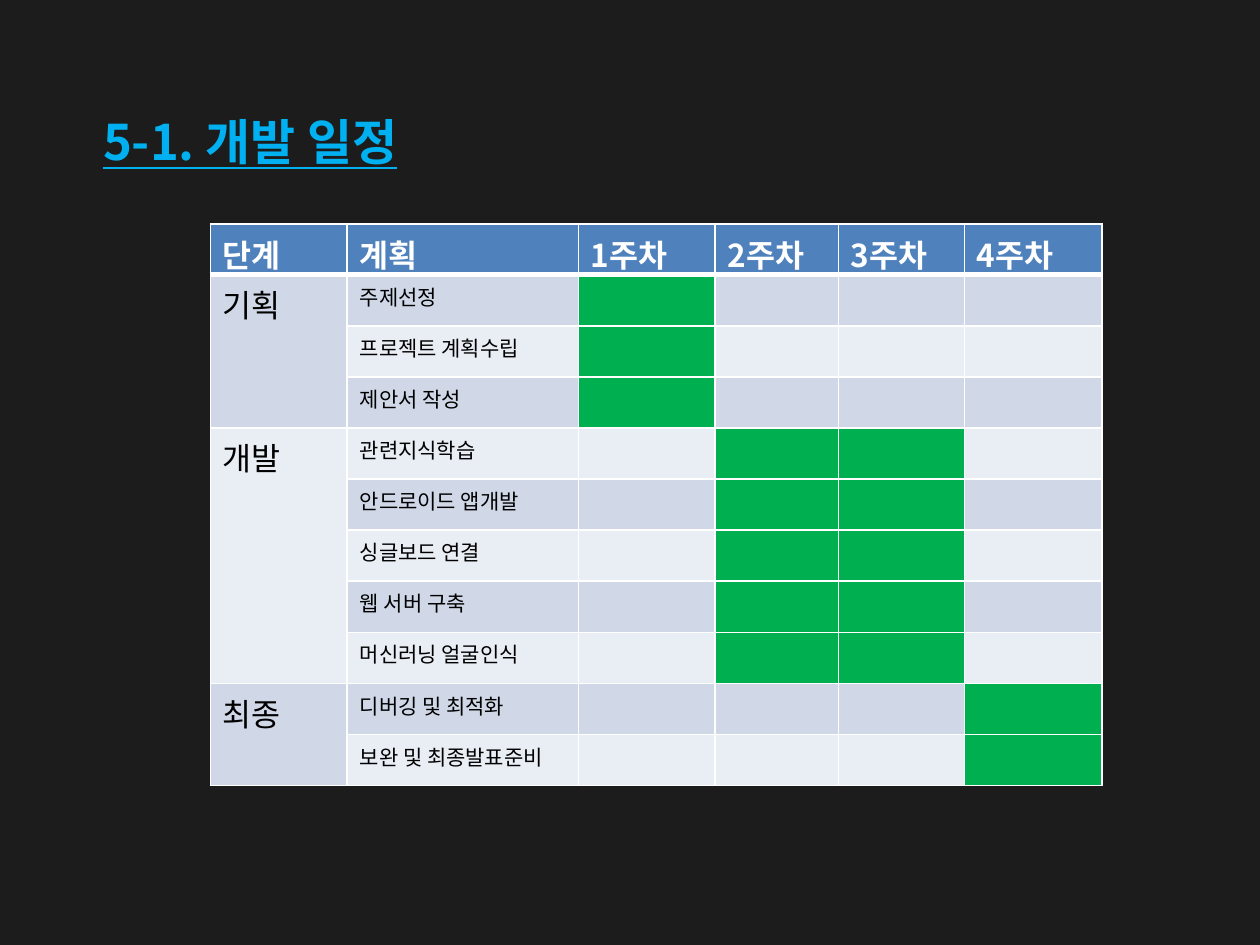
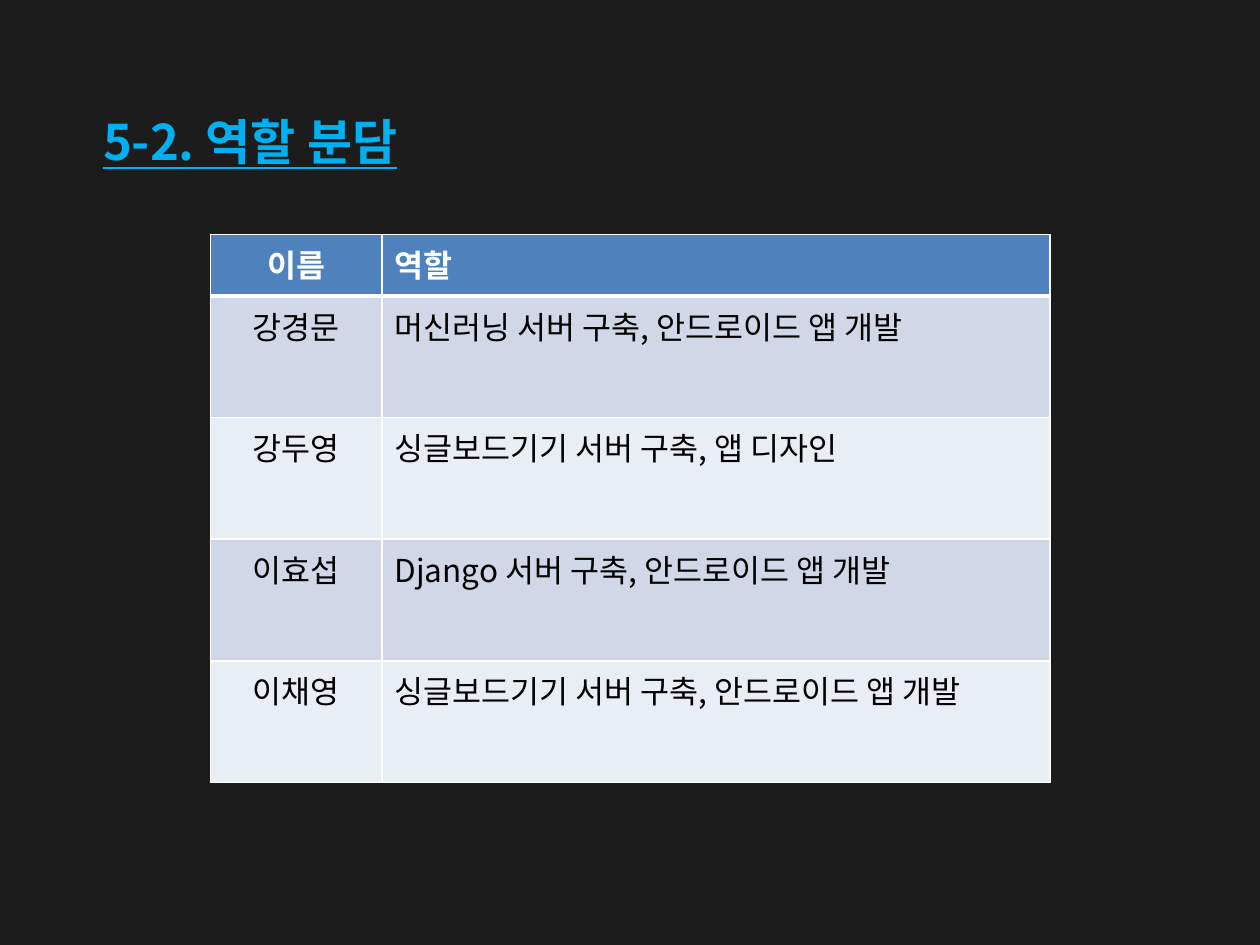
from dataclasses import dataclass

from lxml import etree
from pptx import Presentation
from pptx import util as u
from pptx.dml.color import RGBColor
from pptx.enum import text
from pptx.oxml import ns

FONT = "Noto Sans CJK KR"
BACKGROUND, TITLE_BLUE, HEADER_BLUE = "1C1C1C", "00B0F0", "4F81BD"
BANDS = ("D0D8E8", "E9EDF4")
ACTIVE, WHITE, BLACK = "00B050", "FFFFFF", "000000"


@dataclass
class Column:
    heading: str
    width: float
    size: int = 18
    centered: bool = False


@dataclass
class Stage:
    name: str
    tasks: list[str]
    weeks: list[int]


@dataclass
class Grid:
    top: float
    header_height: float
    row_height: float
    columns: list[Column]
    rows: list[list[str]]


STAGES = [
    Stage("기획", ["주제선정", "프로젝트 계획수립", "제안서 작성"], [1]),
    Stage("개발", ["관련지식학습", "안드로이드 앱개발", "싱글보드 연결",
                 "웹 서버 구축", "머신러닝 얼굴인식"], [2, 3]),
    Stage("최종", ["디버깅 및 최적화", "보완 및 최종발표준비"], [4]),
]
WEEK_WIDTHS = (2.76, 2.48, 2.54, 2.78)
SCHEDULE = Grid(
    4.52, 0.99, 1.03,
    [Column("단계", 2.76), Column("계획", 4.66, 12)]
    + [Column(f"{week}주차", width) for week, width in enumerate(WEEK_WIDTHS, 1)],
    [[stage.name if i == 0 else "", task] + [""] * len(WEEK_WIDTHS)
     for stage in STAGES for i, task in enumerate(stage.tasks)],
)
ROLES = Grid(
    4.73, 1.24, 2.45,
    [Column("이름", 3.46, centered=True), Column("역할", 13.47)],
    [["강경문", "머신러닝 서버 구축, 안드로이드 앱 개발"],
     ["강두영", "싱글보드기기 서버 구축, 앱 디자인"],
     ["이효섭", "Django 서버 구축, 안드로이드 앱 개발"],
     ["이채영", "싱글보드기기 서버 구축, 안드로이드 앱 개발"]],
)


def paint(fill, color: str) -> None:
    fill.solid()
    fill.fore_color.rgb = RGBColor.from_string(color)


def style_text(paragraph, size: int, color: str, bold: bool, underline: bool = False) -> None:
    for run in paragraph.runs:
        font = run.font
        font.name, font.size = FONT, u.Pt(size)
        font.bold, font.underline = bold, underline
        paint(font.fill, color)
        east_asian = etree.SubElement(run._r.get_or_add_rPr(), ns.qn("a:ea"))
        east_asian.set("typeface", FONT)
        font._element.find(ns.qn("a:latin")).addnext(east_asian)


def add_borders(cell, widths: dict[str, int]) -> None:
    """Draw white cell edges; widths maps L, R, T, B (in that order) to points."""
    properties = cell._tc.get_or_add_tcPr()
    for side, width in widths.items():
        line = etree.SubElement(properties, ns.qn(f"a:ln{side}"), w=str(u.Pt(width)))
        fill = etree.SubElement(line, ns.qn("a:solidFill"))
        etree.SubElement(fill, ns.qn("a:srgbClr"), val=WHITE)


def add_titled_slide(deck, title: str):
    slide = deck.slides.add_slide(deck.slide_layouts[6])
    paint(slide.background.fill, BACKGROUND)
    frame = slide.shapes.add_textbox(u.Cm(1.83), u.Cm(2.13), u.Cm(14.27), u.Cm(1.45)).text_frame
    frame.word_wrap = True
    frame.auto_size = text.MSO_AUTO_SIZE.SHAPE_TO_FIT_TEXT
    frame.text = title
    style_text(frame.paragraphs[0], 28, TITLE_BLUE, bold=True, underline=True)
    return slide


def add_grid(slide, grid: Grid):
    width = sum(column.width for column in grid.columns)
    height = grid.header_height + grid.row_height * len(grid.rows)
    table = slide.shapes.add_table(len(grid.rows) + 1, len(grid.columns), u.Cm(4.24),
                                   u.Cm(grid.top), u.Cm(width), u.Cm(height)).table
    table.first_row = table.horz_banding = False
    headings = [column.heading for column in grid.columns]
    for r, values in enumerate([headings] + grid.rows):
        is_header = r == 0
        table.rows[r].height = u.Cm(grid.header_height if is_header else grid.row_height)
        for c, (column, value) in enumerate(zip(grid.columns, values)):
            table.columns[c].width = u.Cm(column.width)
            cell = table.cell(r, c)
            add_borders(cell, {"L": 1, "R": 1, "T": 1, "B": 3} if is_header
                        else {"L": 1, "R": 1, "B": 1})
            paint(cell.fill, HEADER_BLUE if is_header else BANDS[(r - 1) % 2])
            cell.text = value
            paragraph = cell.text_frame.paragraphs[0]
            if column.centered:
                paragraph.alignment = text.PP_ALIGN.CENTER
            style_text(paragraph, 18 if is_header else column.size,
                       WHITE if is_header else BLACK, bold=is_header)
    return table


def mark_stages(table) -> None:
    """Merge each stage's name cells and colour the weeks it runs in."""
    first = 1
    for stage in STAGES:
        last = first + len(stage.tasks) - 1
        table.cell(first, 0).merge(table.cell(last, 0))
        for row in range(first, last + 1):
            for week in stage.weeks:
                paint(table.cell(row, week + 1).fill, ACTIVE)
        first = last + 1


def main() -> None:
    deck = Presentation()
    deck.slide_width, deck.slide_height = u.Cm(25.4), u.Cm(19.05)
    mark_stages(add_grid(add_titled_slide(deck, "5-1. 개발 일정"), SCHEDULE))
    add_grid(add_titled_slide(deck, "5-2. 역할 분담"), ROLES)
    deck.save("out.pptx")


if __name__ == "__main__":
    main()
